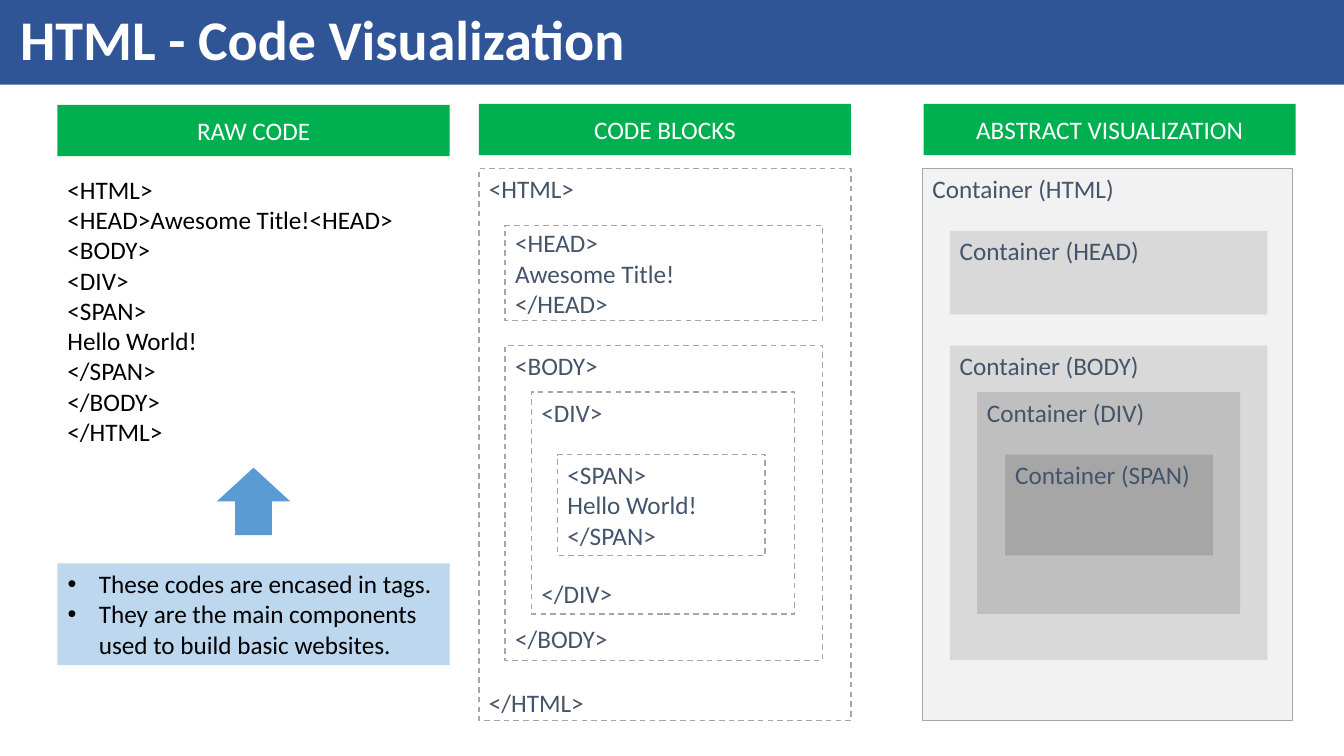
from pptx import Presentation
from pptx.dml.color import RGBColor
from pptx.enum.dml import MSO_LINE
from pptx.enum.shapes import MSO_SHAPE
from pptx.enum.text import MSO_ANCHOR, MSO_AUTO_SIZE, PP_ALIGN
from pptx.util import Inches, Pt

COLORS = {
    "banner": "2F5597", "header": "00B050", "arrow": "5B9BD5", "note": "BDD7EE",
    "white": "FFFFFF", "black": "000000", "slate": "44546A", "outline": "A6A6A6",
    "html": "F2F2F2", "head": "D9D9D9", "body": "D9D9D9", "div": "BFBFBF", "span": "A6A6A6",
}
LINE_HEIGHT = 21.6  # points, one line of 18 pt text

TITLE = "HTML - Code Visualization"
HEADERS = [  # text, left, top, width
    ("RAW CODE", 0.57, 1.04, 3.89),
    ("CODE BLOCKS", 4.75, 1.03, 3.69),
    ("ABSTRACT VISUALIZATION", 9.16, 1.03, 3.69),
]
RAW_CODE = [
    "<HTML>", "<HEAD>Awesome Title!<HEAD>", "<BODY>", "<DIV>", "<SPAN>",
    "Hello World!", "</SPAN>", "</BODY>", "</HTML>",
]
NOTES = [
    "These codes are encased in tags.",
    "They are the main components used to build basic websites.",
]
CODE_BLOCKS = [  # tag, inner text, lines left free before the closing tag, box
    ("HTML", None, 16, (4.75, 1.67, 3.69, 5.48)),
    ("HEAD", "Awesome Title!", 0, (5.01, 2.24, 3.15, 0.94)),
    ("BODY", None, 8, (5.01, 3.43, 3.15, 3.12)),
    ("DIV", None, 5, (5.27, 3.89, 2.61, 2.2)),
    ("SPAN", "Hello World!", 0, (5.53, 4.51, 2.06, 1)),
]
CONTAINERS = [  # tag, box
    ("HTML", (9.15, 1.67, 3.67, 5.48)),
    ("HEAD", (9.42, 2.29, 3.15, 0.83)),
    ("BODY", (9.42, 3.43, 3.15, 3.12)),
    ("DIV", (9.69, 3.89, 2.61, 2.2)),
    ("SPAN", (9.97, 4.51, 2.06, 1)),
]


def rgb(color):
    return RGBColor.from_string(COLORS[color])


def paint(shape, color):
    shape.fill.solid()
    shape.fill.fore_color.rgb = rgb(color)


def write(shape, lines, color, size=18, bold=False, align=PP_ALIGN.LEFT, anchor=MSO_ANCHOR.TOP):
    frame = shape.text_frame
    frame.text = "\n".join(lines)
    frame.word_wrap = True
    frame.auto_size = MSO_AUTO_SIZE.NONE
    frame.vertical_anchor = anchor
    for paragraph in frame.paragraphs:
        paragraph.alignment = align
        paragraph.space_before = Pt(0)
        paragraph.font.name = "Calibri"
        paragraph.font.size = Pt(size)
        paragraph.font.bold = bold
        paragraph.font.color.rgb = rgb(color)
    return frame


def place(shape, box):
    shape.left, shape.top, shape.width, shape.height = map(Inches, box)


def add_block(slide, box, fill=None, outlined=False, dashed=False, kind=MSO_SHAPE.RECTANGLE):
    block = slide.shapes.add_shape(kind, *map(Inches, box))
    block.shadow.inherit = False
    if fill:
        paint(block, fill)
    else:
        block.fill.background()
    if outlined:
        block.line.color.rgb = rgb("outline")
        block.line.width = Pt(1)
        if dashed:
            block.line.dash_style = MSO_LINE.DASH
    else:
        block.line.fill.background()
    return block


def main():
    deck = Presentation()
    deck.slide_width, deck.slide_height = Inches(13.33), Inches(7.5)
    slide = deck.slides.add_slide(deck.slide_layouts[1])

    # Title banner
    banner = slide.shapes.title
    place(banner, (0, 0, 13.33, 0.84))
    paint(banner, "banner")
    title_frame = write(banner, [TITLE], "white", 40, True, anchor=MSO_ANCHOR.MIDDLE)
    title_frame.margin_left = Inches(0.2)
    title_frame.paragraphs[0].line_spacing = 0.9

    # Column headers
    for text, left, top, width in HEADERS:
        header = add_block(slide, (left, top, width, 0.51), "header")
        write(header, [text], "white", align=PP_ALIGN.CENTER, anchor=MSO_ANCHOR.MIDDLE)

    # Raw code, arrow and notes
    raw_code = slide.shapes.add_textbox(*map(Inches, (0.57, 1.68, 3.89, 2.83)))
    write(raw_code, RAW_CODE, "black")
    add_block(slide, (2.15, 4.64, 0.73, 0.67), "arrow", kind=MSO_SHAPE.UP_ARROW)
    notes = slide.placeholders[1]
    place(notes, (0.57, 5.59, 3.89, 1.01))
    paint(notes, "note")
    for paragraph in write(notes, NOTES, "black").paragraphs:
        properties = paragraph._p.get_or_add_pPr()
        properties.set("marL", str(Inches(0.31)))
        properties.set("indent", str(-Inches(0.31)))

    # Nested code blocks
    for tag, inner, free_lines, box in CODE_BLOCKS:
        lines = [f"<{tag}>", inner, f"</{tag}>"]
        block = add_block(slide, box, outlined=True, dashed=True)
        anchor = MSO_ANCHOR.MIDDLE if tag == "HEAD" else MSO_ANCHOR.TOP
        frame = write(block, [line for line in lines if line], "slate", anchor=anchor)
        frame.paragraphs[-1].space_before = Pt(free_lines * LINE_HEIGHT)

    # Nested containers
    for tag, box in CONTAINERS:
        container = add_block(slide, box, tag.lower(), outlined=tag == "HTML")
        write(container, [f"Container ({tag})"], "slate")

    deck.save("out.pptx")


if __name__ == "__main__":
    main()
